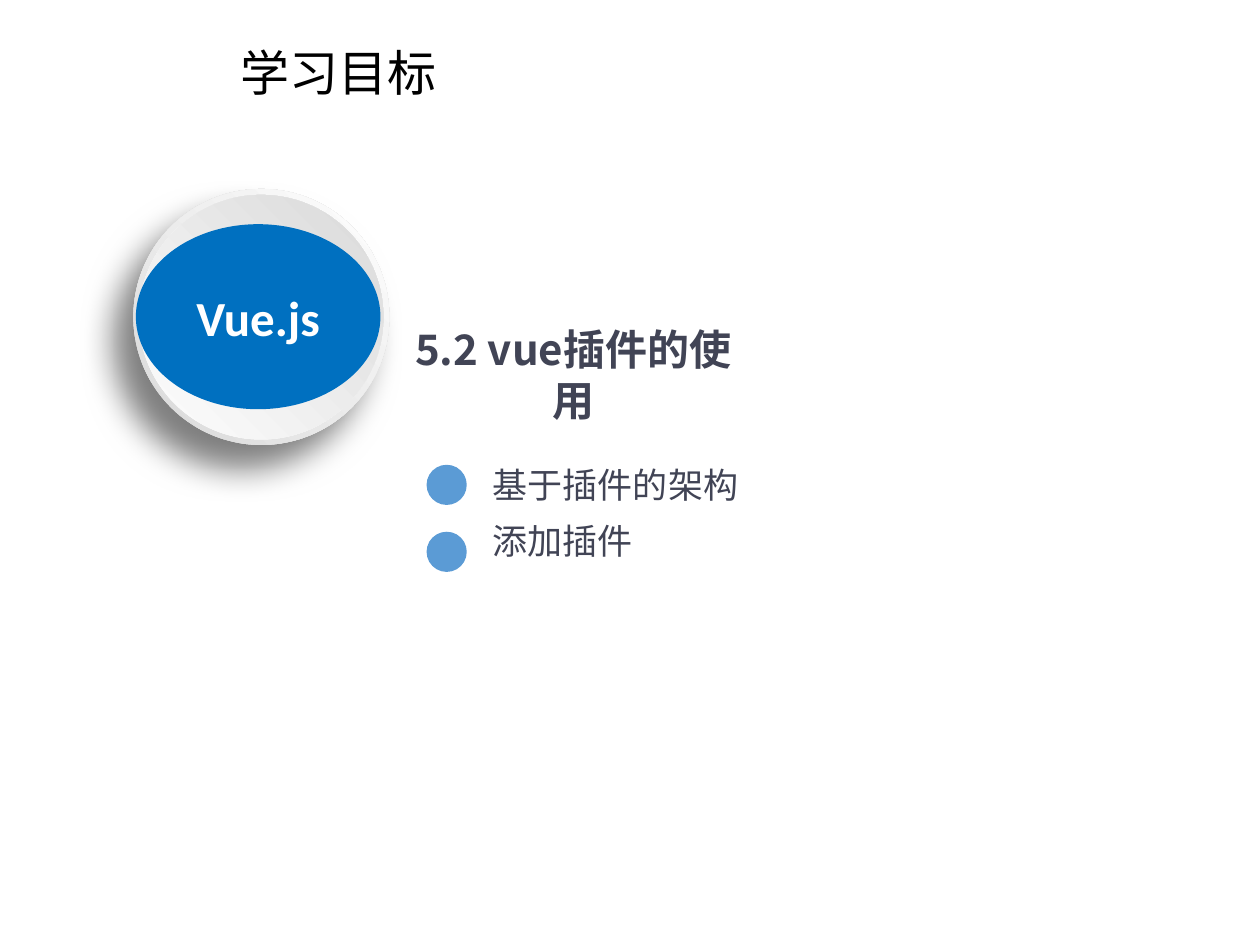
from dataclasses import dataclass

from lxml import etree
from pptx import Presentation
from pptx.dml.color import RGBColor
from pptx.enum import shapes, text
from pptx.oxml import ns
from pptx.util import Cm, Pt


@dataclass(frozen=True)
class Theme:
    cjk_font: str = "Noto Sans CJK SC"
    latin_font: str = "Calibri"
    black: str = "000000"
    white: str = "FFFFFF"
    near_white: str = "FEFEFE"
    grey: str = "D9D9D9"
    ink: str = "414455"
    badge_blue: str = "0070C0"
    bullet_blue: str = "5B9BD5"
    title_size: int = 28
    heading_size: int = 24
    item_size: int = 20


THEME = Theme()
TITLE = "学习目标"
HEADING = "5.2 vue插件的使用"
ITEMS = ("基于插件的架构", "添加插件")
BULLET_PITCH = 1.35


def add_xml(parent, tag, **attributes):
    return etree.SubElement(parent, ns.qn(tag), attributes)


def place(shape, left, top, width, height):
    shape.left, shape.top = Cm(left), Cm(top)
    shape.width, shape.height = Cm(width), Cm(height)


def style(paragraph, size, color, name=THEME.cjk_font, bold=False,
          align=text.PP_ALIGN.LEFT):
    font = paragraph.font
    font.name, font.size, font.bold = name, Pt(size), bold
    font.color.rgb = RGBColor.from_string(color)
    # The East Asian typeface follows the Latin one.
    latin = font._element.find(ns.qn("a:latin"))
    east_asian = latin.makeelement(ns.qn("a:ea"), {"typeface": name})
    latin.addnext(east_asian)
    paragraph.alignment = align


def prepare_frame(shape, anchor=text.MSO_ANCHOR.TOP):
    frame = shape.text_frame
    frame.word_wrap = True
    frame.auto_size = text.MSO_AUTO_SIZE.NONE
    frame.vertical_anchor = anchor
    return frame


def add_ellipse(container, left, top, width, height, color=None):
    ellipse = container.add_shape(shapes.MSO_SHAPE.OVAL, Cm(left), Cm(top),
                                  Cm(width), Cm(height))
    ellipse.shadow.inherit = False
    ellipse.line.fill.background()
    if color:
        ellipse.fill.solid()
        ellipse.fill.fore_color.rgb = RGBColor.from_string(color)
    return ellipse


def fill_from_top_right(shape, *colors):
    """Fill with a circular gradient centred on the top right corner."""
    shape.fill.gradient()
    for position, (stop, color) in enumerate(zip(shape.fill.gradient_stops, colors)):
        stop.position = position
        stop.color.rgb = RGBColor.from_string(color)
    gradient = shape._element.spPr.find(ns.qn("a:gradFill"))
    gradient.remove(gradient.find(ns.qn("a:lin")))
    circle = add_xml(gradient, "a:path", path="circle")
    add_xml(circle, "a:fillToRect", l="100000", b="100000")


def add_drop_shadow(shape, blur, distance, degrees, opacity):
    effects = shape._element.spPr.find(ns.qn("a:effectLst"))
    shadow = add_xml(effects, "a:outerShdw", blurRad=str(Pt(blur)),
                     dist=str(Pt(distance)), dir=str(degrees * 60000),
                     algn="ctr", rotWithShape="0")
    color = add_xml(shadow, "a:srgbClr", val=THEME.black)
    add_xml(color, "a:alpha", val=str(opacity * 1000))


def set_title(slide):
    title = slide.shapes.title
    place(title, 4.6, 0.86, 13.11, 1.73)
    paragraph = prepare_frame(title).paragraphs[0]
    paragraph.text = TITLE
    paragraph.line_spacing = 0.9
    style(paragraph, THEME.title_size, THEME.black)


def add_heading(slide):
    box = slide.shapes.add_textbox(Cm(7.87), Cm(6.43), Cm(7.37), Cm(2.29))
    frame = prepare_frame(box)
    frame.margin_left = frame.margin_right = Cm(0.2)
    frame.margin_top = frame.margin_bottom = Cm(0.1)
    paragraph = frame.paragraphs[0]
    paragraph.text = HEADING
    style(paragraph, THEME.heading_size, THEME.ink, bold=True,
          align=text.PP_ALIGN.CENTER)


def add_badge(slide):
    badge = slide.shapes.add_group_shape().shapes
    rim = add_ellipse(badge, 2.69, 3.81, 5.16, 5.16)
    fill_from_top_right(rim, THEME.white, THEME.grey)
    add_drop_shadow(rim, blur=19, distance=18, degrees=130, opacity=50)
    dish = add_ellipse(badge, 2.8, 3.93, 4.93, 4.93)
    fill_from_top_right(dish, THEME.grey, THEME.near_white)
    label = add_ellipse(badge, 2.74, 4.52, 4.93, 3.73, THEME.badge_blue)
    paragraph = prepare_frame(label, text.MSO_ANCHOR.MIDDLE).paragraphs[0]
    paragraph.text = "Vue.js"
    style(paragraph, THEME.title_size, THEME.white, THEME.latin_font, bold=True,
          align=text.PP_ALIGN.CENTER)


def set_items(slide):
    """Write the list in the body placeholder, with a disc before each item."""
    body = slide.placeholders[1]
    place(body, 9.68, 9.22, 5.6, 2.41)
    frame = prepare_frame(body)
    frame.text = "\n".join(ITEMS)
    for index, paragraph in enumerate(frame.paragraphs):
        paragraph.line_spacing = 1.0
        paragraph.space_before, paragraph.space_after = Pt(0), Pt(8)
        style(paragraph, THEME.item_size, THEME.ink)
        properties = paragraph._p.get_or_add_pPr()
        properties.set("marL", "0")
        properties.set("indent", "0")
        properties.find(ns.qn("a:spcAft")).addnext(
            properties.makeelement(ns.qn("a:buNone"), {}))
        add_ellipse(slide.shapes, 8.6, 9.37 + index * BULLET_PITCH, 0.81, 0.81,
                    THEME.bullet_blue)


def main():
    presentation = Presentation()
    presentation.slide_width, presentation.slide_height = Cm(25.4), Cm(19.05)
    slide = presentation.slides.add_slide(presentation.slide_layouts[1])
    set_title(slide)
    add_heading(slide)
    add_badge(slide)
    set_items(slide)
    presentation.save("out.pptx")


if __name__ == "__main__":
    main()
